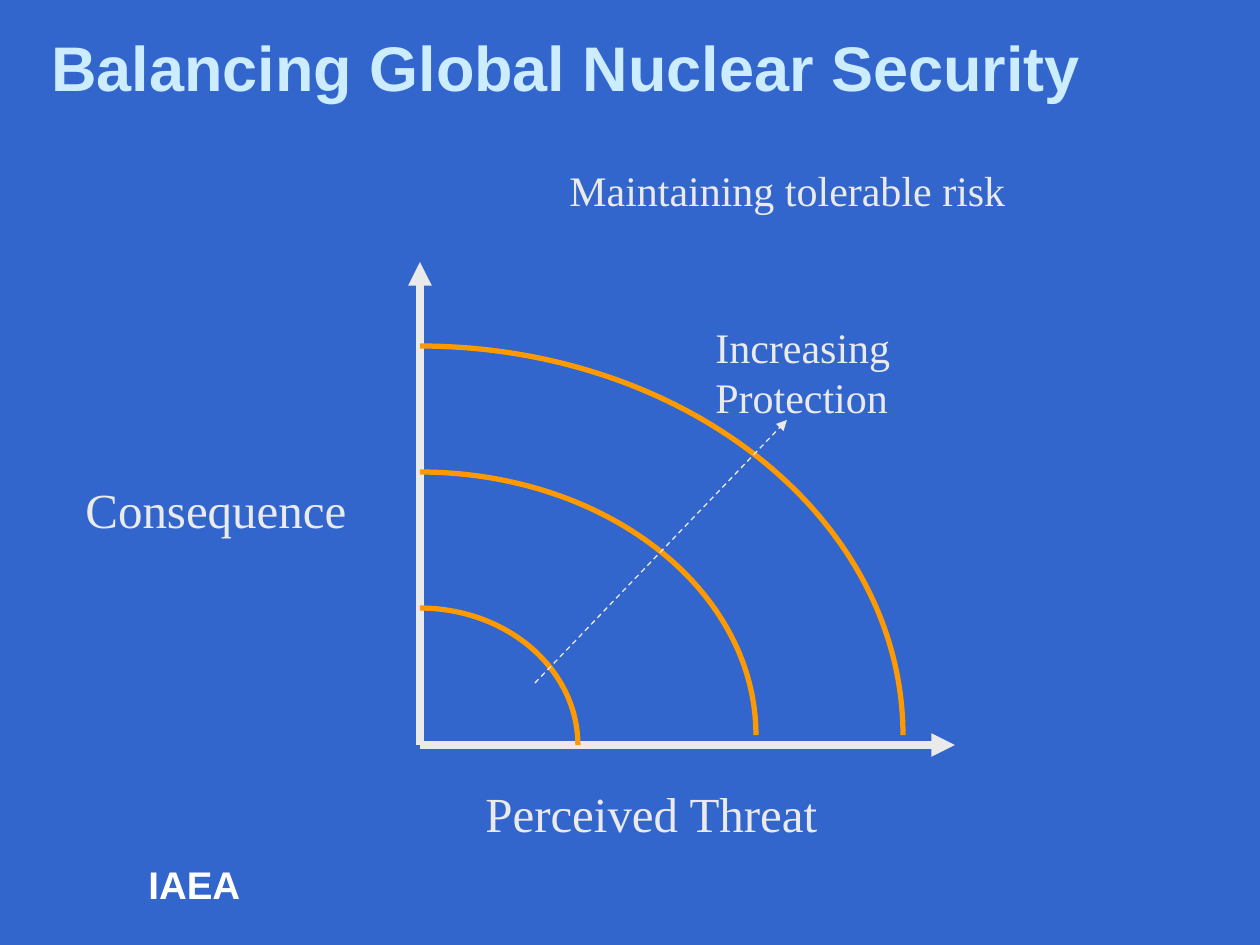
from typing import NamedTuple

from lxml import etree
from pptx import Presentation
from pptx.dml.color import RGBColor
from pptx.enum.dml import MSO_LINE
from pptx.enum.shapes import MSO_CONNECTOR, MSO_SHAPE
from pptx.enum.text import MSO_ANCHOR
from pptx.oxml.ns import qn
from pptx.util import Emu, Pt

ARC = MSO_SHAPE.ARC
STRAIGHT = MSO_CONNECTOR.STRAIGHT
DASH = MSO_LINE.DASH
TOP, MIDDLE = MSO_ANCHOR.TOP, MSO_ANCHOR.MIDDLE

PX_PER_INCH = 126
COLORS = {
    "background": "3366CC",
    "title": "CCECFF",
    "footer": "FFFFFF",
    "light": "EAEAEA",
    "curve": "FF9900",
}


class Label(NamedTuple):
    text: str
    left: int
    top: int
    width: int
    height: int
    size: int
    color: str = "light"
    font: str = "Times New Roman"
    bold: bool = False
    anchor: MSO_ANCHOR = TOP


class Arrow(NamedTuple):
    start: tuple[int, int]
    end: tuple[int, int]
    weight: float
    dashed: bool = False


class RiskCurve(NamedTuple):
    center_y: int
    radius_x: int
    radius_y: int


ORIGIN_X, ORIGIN_Y = 420, 745

LABELS = [
    Label("IAEA", 136, 855, 126, 59, 22, "footer", "Arial", True),
    Label("Balancing Global Nuclear Security", 39, 14, 1176, 105, 36,
          "title", "Arial", True, MIDDLE),
    Label("Consequence", 73, 473, 294, 72, 28),
    Label("Perceived Threat", 473, 777, 388, 72, 28),
    Label("Maintaining tolerable risk", 557, 158, 703, 63, 24),
    Label("Increasing Protection", 703, 315, 252, 113, 24),
]
AXES = [
    Arrow((ORIGIN_X, ORIGIN_Y), (ORIGIN_X, 262), 4.5),
    Arrow((ORIGIN_X, ORIGIN_Y), (955, ORIGIN_Y), 4.5),
]
CURVES = [
    RiskCurve(ORIGIN_Y, 158, 137),
    RiskCurve(735, 336, 263),
    RiskCurve(735, 483, 389),
]
PROTECTION = Arrow((535, 683), (787, 420), 0.75, dashed=True)


def px(length: int) -> Emu:
    return Emu(round(length * 914400 / PX_PER_INCH))


def rgb(name: str) -> RGBColor:
    return RGBColor.from_string(COLORS[name])


def add_label(slide, label: Label) -> None:
    box = slide.shapes.add_textbox(
        px(label.left), px(label.top), px(label.width), px(label.height))
    frame = box.text_frame
    frame.word_wrap = True
    frame.vertical_anchor = label.anchor
    frame.text = label.text
    font = frame.paragraphs[0].runs[0].font
    font.name = label.font
    font.size = Pt(label.size)
    font.bold = label.bold
    font.color.rgb = rgb(label.color)


def add_arrow(slide, arrow: Arrow) -> None:
    connector = slide.shapes.add_connector(
        STRAIGHT, *map(px, arrow.start + arrow.end))
    connector.line.color.rgb = rgb("light")
    connector.line.width = Pt(arrow.weight)
    if arrow.dashed:
        connector.line.dash_style = DASH
    properties = connector._element.spPr
    etree.SubElement(properties.find(qn("a:ln")), qn("a:tailEnd"), type="triangle")
    etree.SubElement(properties, qn("a:effectLst"))


def add_curve(slide, curve: RiskCurve) -> None:
    """Draw the upper-right quarter of an ellipse centred on the vertical axis."""
    arc = slide.shapes.add_shape(
        ARC, px(ORIGIN_X - curve.radius_x), px(curve.center_y - curve.radius_y),
        px(2 * curve.radius_x), px(2 * curve.radius_y))
    arc.shadow.inherit = False
    arc.fill.background()
    arc.line.color.rgb = rgb("curve")
    arc.line.width = Pt(3)


def main() -> None:
    deck = Presentation()
    deck.slide_width, deck.slide_height = px(1260), px(945)
    slide = deck.slides.add_slide(deck.slide_layouts[6])
    slide.background.fill.solid()
    slide.background.fill.fore_color.rgb = rgb("background")

    for axis in AXES:
        add_arrow(slide, axis)
    for curve in CURVES:
        add_curve(slide, curve)
    add_arrow(slide, PROTECTION)
    for label in LABELS:
        add_label(slide, label)
    deck.save("out.pptx")


if __name__ == "__main__":
    main()
